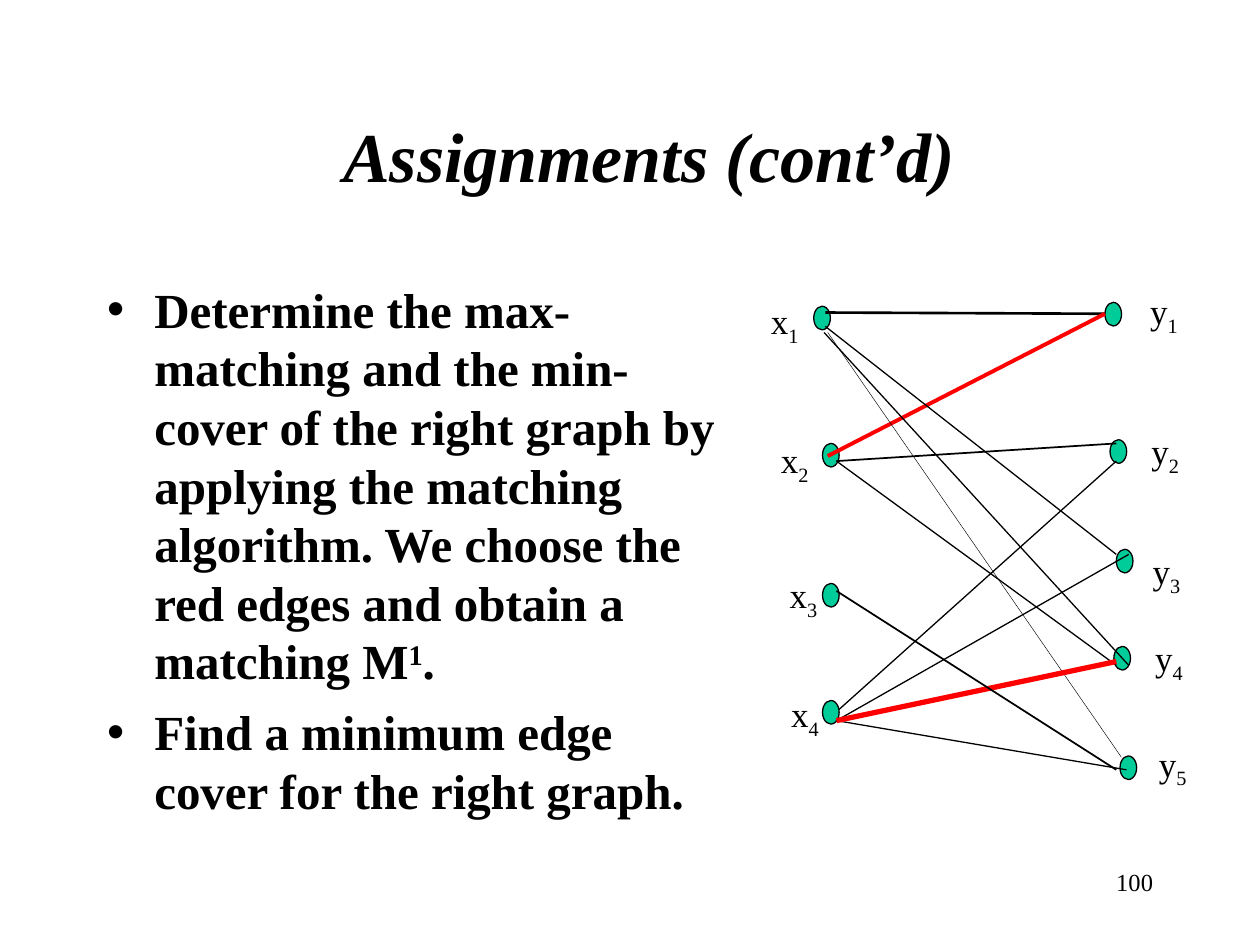
import pptx
import pptx.dml.color
import pptx.enum.shapes
import pptx.enum.text
import pptx.oxml
import pptx.oxml.ns
import pptx.util
from pptx.util import Pt

COLOURS = {"ink": "000000", "node": "00CC99", "matched": "FF0000"}
FONT = "Times New Roman"
ALIGN = pptx.enum.text.PP_ALIGN
NODE_SIZE = (9.5, 13.5)
LABEL_SIZE = (47, 34.5)

# Node name, index, top-left of its dot, top-left of its label
NODES = [
    ("x", "1", (33, 31), (1.4, 23.8)),
    ("x", "2", (38, 109.4), (7.2, 103)),
    ("x", "3", (38, 189.4), (12.2, 180)),
    ("x", "4", (38, 256.3), (13, 248.4)),
    ("y", "1", (199.4, 28.8), (218.2, 18)),
    ("y", "2", (202.3, 107.3), (218.9, 97.9)),
    ("y", "3", (205.9, 169.9), (219.6, 166.3)),
    ("y", "4", (204.5, 225.4), (221, 216)),
    ("y", "5", (208, 288), (223.2, 276.5)),
]

# Start, end, line width, colour
EDGES = [
    ((39.6, 34.6), (199.4, 35.3), 1.5, "ink"),
    ((41, 116.6), (199.4, 35.3), 2.25, "matched"),
    ((47.5, 261.4), (205.9, 119.5), 0.75, "ink"),
    ((39.6, 42.5), (205.9, 172.8), 0.75, "ink"),
    ((38.9, 46), (213, 236.2), 0.75, "ink"),
    ((41, 46), (208.8, 288.7), 0.25, "ink"),
    ((46, 119.5), (205.9, 109.4), 1, "ink"),
    ((46, 119.5), (205.9, 236.2), 0.75, "ink"),
    ((46, 267.8), (213, 172.8), 0.75, "ink"),
    ((46, 267.8), (211.7, 295.9), 0.75, "ink"),
    ((46, 267.8), (205.9, 234), 3, "matched"),
    ((46, 193.7), (205.9, 295.9), 1, "ink"),
]


def colour(name):
    return pptx.dml.color.RGBColor.from_string(COLOURS[name])


def place(shape, box):
    shape.left, shape.top, shape.width, shape.height = (Pt(v) for v in box)


def style(span, size, bold=False, italic=False):
    span.font.name, span.font.size = FONT, Pt(size)
    span.font.bold, span.font.italic = bold, italic
    span.font.color.rgb = colour("ink")


def add_span(para, text, size, bold=False, baseline=0):
    """Append a run; baseline is its raise in percent, negative for a subscript."""
    span = para.add_run()
    span.text = text
    style(span, size, bold)
    if baseline:
        span.font._element.set("baseline", str(baseline * 1000))


def add_text_box(page, box):
    frame = page.shapes.add_textbox(*(Pt(v) for v in box)).text_frame
    frame.word_wrap = True
    return frame.paragraphs[0]


def fill_title(page, box):
    title = page.shapes.title
    place(title, box)
    frame = title.text_frame
    frame.text = "Assignments (cont’d)"
    frame.auto_size = pptx.enum.text.MSO_AUTO_SIZE.NONE
    frame.vertical_anchor = pptx.enum.text.MSO_ANCHOR.MIDDLE
    para = frame.paragraphs[0]
    para.alignment = ALIGN.CENTER
    style(para.runs[0], 40, bold=True, italic=True)


def fill_tasks(page, box):
    body = page.placeholders[1]
    place(body, box)
    frame = body.text_frame
    frame.auto_size = pptx.enum.text.MSO_AUTO_SIZE.NONE
    matching, cover = frame.paragraphs[0], frame.add_paragraph()
    add_span(matching, "Determine the max-matching and the min-cover of the right graph by "
             "applying the matching algorithm. We choose the red edges and obtain a "
             "matching M", 28, bold=True)
    add_span(matching, "1", 28, bold=True, baseline=30)
    add_span(matching, ".", 28, bold=True)
    add_span(cover, "Find a minimum edge cover for the right graph.", 28, bold=True)
    for para, gap in ((matching, 0), (cover, 7)):
        para.space_before = Pt(gap)
        para.line_spacing = Pt(33.5)


def add_node(page, left, top):
    dot = page.shapes.add_shape(pptx.enum.shapes.MSO_SHAPE.OVAL,
                                Pt(left), Pt(top), *(Pt(v) for v in NODE_SIZE))
    dot.shadow.inherit = False
    dot.fill.solid()
    dot.fill.fore_color.rgb = colour("node")
    dot.line.color.rgb = colour("ink")
    dot.line.width = Pt(0.75)


def add_edge(page, start, end, width, tone):
    edge = page.shapes.add_connector(pptx.enum.shapes.MSO_CONNECTOR.STRAIGHT,
                                     *(Pt(v) for v in start + end))
    edge.line.color.rgb = colour(tone)
    edge.line.width = Pt(width)
    properties = edge._element.spPr
    properties.append(pptx.oxml.parse_xml(
        "<a:effectLst %s/>" % pptx.oxml.ns.nsdecls("a")))


def draw_graph(page, left, top):
    def shift(point):
        return left + point[0], top + point[1]

    for letter, index, dot, label in NODES:
        add_node(page, *shift(dot))
        para = add_text_box(page, shift(label) + LABEL_SIZE)
        add_span(para, letter, 20)
        add_span(para, index, 20, baseline=-25)
    for start, end, width, tone in EDGES:
        add_edge(page, shift(start), shift(end), width, tone)


def add_page_number(page, box):
    para = add_text_box(page, box)
    para.alignment = ALIGN.RIGHT
    add_span(para, "100", 14)


def main():
    deck = pptx.Presentation()
    deck.slide_width, deck.slide_height = Pt(720), Pt(540)
    page = deck.slides.add_slide(deck.slide_layouts[1])
    fill_title(page, (65, 43, 612, 90))
    fill_tasks(page, (54, 156, 369, 324))
    draw_graph(page, 432, 144)
    add_page_number(page, (516, 492, 150, 36))
    deck.save("out.pptx")


if __name__ == "__main__":
    main()
